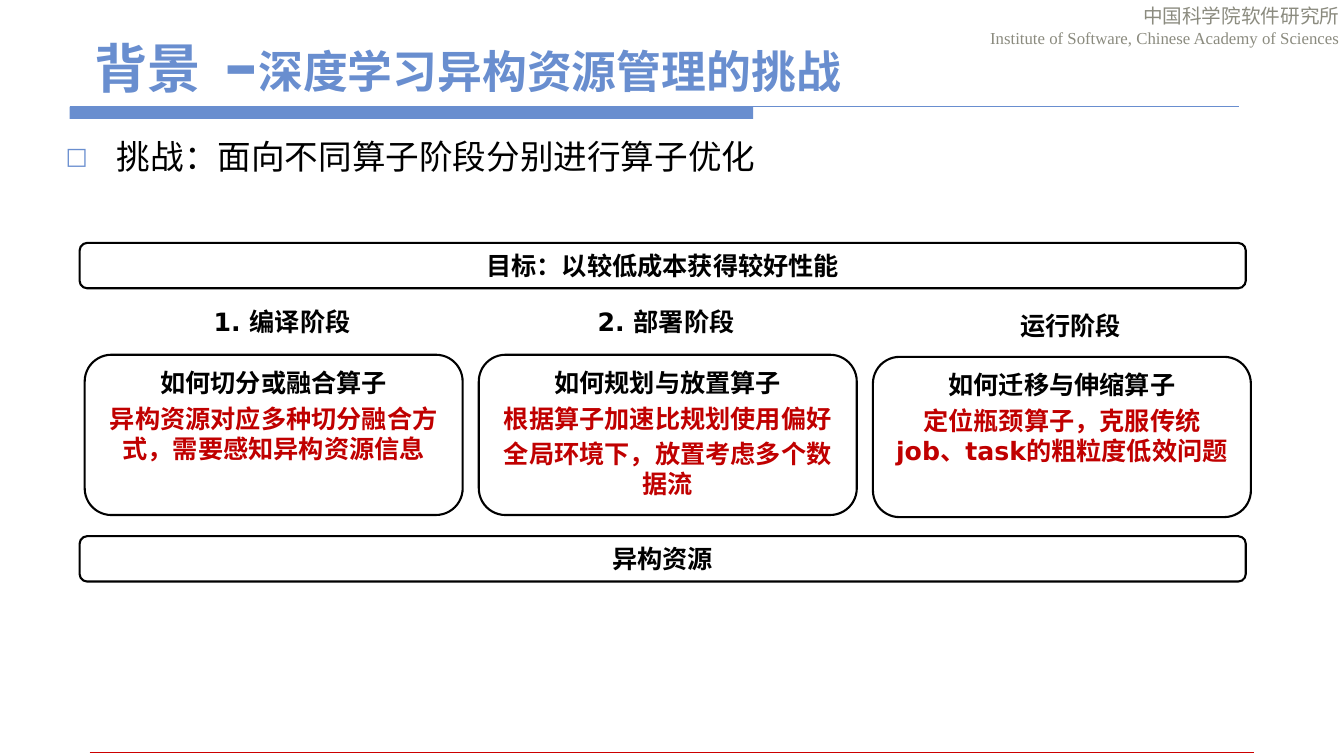
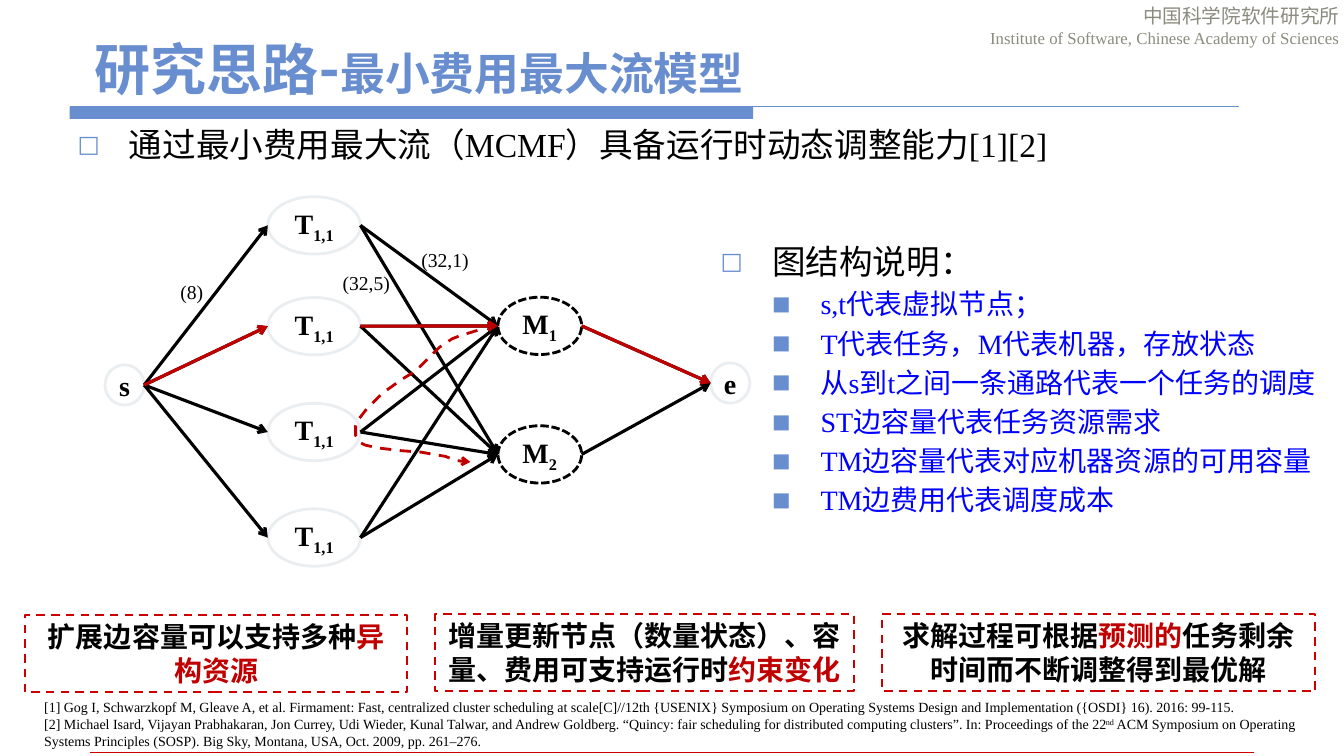
import dataclasses
import itertools
import typing

import lxml.etree
import pptx
import pptx.dml.color
import pptx.enum.dml
import pptx.enum.lang
import pptx.enum.shapes
import pptx.enum.text
import pptx.oxml.ns
import pptx.util

Pt = pptx.util.Pt
Align = pptx.enum.text.PP_ALIGN
Anchor = pptx.enum.text.MSO_ANCHOR
Dash = pptx.enum.dml.MSO_LINE
Preset = pptx.enum.shapes.MSO_SHAPE

BLUE, BLACK, WHITE = "698ECF", "000000", "FFFFFF"
RED, RULE_RED, LINK_BLUE = "C00000", "CC0000", "0000FF"
GREY, PALE = "8B8B7F", "EBEEF1"
SANS, SERIF, TITLE_FONT, HAN_FONT = "DejaVu Sans", "Times New Roman", "Roboto", "Noto Sans CJK SC"
EAST_ASIAN = SANS


class Area(typing.NamedTuple):
    left: float
    top: float
    width: float
    height: float


class Span(typing.NamedTuple):
    text: str
    style: dict = {}


class Bullet(typing.NamedTuple):
    symbol: str
    margin: float
    hanging: float


@dataclasses.dataclass(frozen=True)
class Node:
    letter: str
    subscript: str
    x: float
    y: float
    width: float
    height: float
    outline: str = PALE
    dash: typing.Any = None

    @property
    def entry(self) -> tuple[float, float]:
        return self.x - self.width / 2, self.y

    @property
    def departure(self) -> tuple[float, float]:
        return self.x + self.width / 2, self.y


OUTER = Bullet("□", 36.7, 36.7)
INNER = Bullet("■", 71.3, 34.6)
BOX_TEXT = dict(size=18, font=SANS, bold=True, align=Align.CENTER)
HIGHLIGHT = dict(color=RED)


def rgb(color: str) -> pptx.dml.color.RGBColor:
    return pptx.dml.color.RGBColor.from_string(color)


def points(values: typing.Iterable[float]) -> list[pptx.util.Length]:
    return [Pt(value) for value in values]


def child(parent, tag: str, **attributes: str):
    return lxml.etree.SubElement(parent, pptx.oxml.ns.qn(tag), attributes)


def add_span(para, text: str, *, size: float, font: str, color: str = BLACK,
             bold: bool = False, baseline: int = 0) -> None:
    span = para.add_run()
    span.text = text
    span.font.size = Pt(size)
    span.font.name = font
    span.font.bold = bold
    span.font.color.rgb = rgb(color)
    span.font.language_id = pptx.enum.lang.MSO_LANGUAGE_ID.SIMPLIFIED_CHINESE
    properties = span._r.get_or_add_rPr()
    child(properties, "a:ea", typeface=EAST_ASIAN)
    if baseline:
        properties.set("baseline", str(baseline * 1000))


def add_bullet(para, bullet: Bullet) -> None:
    properties = para._p.get_or_add_pPr()
    properties.set("marL", str(Pt(bullet.margin)))
    properties.set("indent", str(-Pt(bullet.hanging)))
    child(child(properties, "a:buClr"), "a:srgbClr", val=BLUE)
    child(properties, "a:buSzPct", val="70000")
    child(properties, "a:buFont", typeface=SANS)
    child(properties, "a:buChar", char=bullet.symbol)


def add_para(frame, spans: list[Span], *, align=Align.LEFT, before: float = 0,
             bullet: Bullet | None = None, **style) -> None:
    para = frame.paragraphs[0]
    if para.runs:
        para = frame.add_paragraph()
    para.alignment = align
    para.space_before = Pt(before)
    if bullet:
        para.level = 1 if bullet is INNER else 0
        add_bullet(para, bullet)
    for span in spans:
        add_span(para, span.text, **{**style, **span.style})


def prepare_frame(box, anchor=Anchor.TOP, wrap: bool = True):
    frame = box.text_frame
    frame.word_wrap = wrap
    frame.auto_size = pptx.enum.text.MSO_AUTO_SIZE.NONE
    frame.vertical_anchor = anchor
    return frame


def place(box, area: Area, anchor=Anchor.TOP):
    box.left, box.top, box.width, box.height = points(area)
    return prepare_frame(box, anchor)


def add_text(page, area: Area):
    box = page.shapes.add_textbox(*points(area))
    return box, prepare_frame(box)


def add_box(page, preset, area: Area, *, fill: str | None = None, outline: str | None = BLACK,
            width: float = 1.5, dash=None):
    box = page.shapes.add_shape(preset, *points(area))
    box.shadow.inherit = False
    if fill:
        box.fill.solid()
        box.fill.fore_color.rgb = rgb(fill)
    else:
        box.fill.background()
    if outline:
        format_line(box.line, outline, width, dash)
    else:
        box.line.fill.background()
    return box


def format_line(line, color: str, width: float, dash=None, arrow: bool = False) -> None:
    line.color.rgb = rgb(color)
    line.width = Pt(width)
    if dash:
        line.dash_style = dash
    if arrow:
        child(line._get_or_add_ln(), "a:tailEnd", type="arrow")


def add_line(page, start: tuple[float, float], end: tuple[float, float], color: str,
             width: float, arrow: bool = False):
    connector = page.shapes.add_connector(
        pptx.enum.shapes.MSO_CONNECTOR.STRAIGHT, *points(start + end))
    format_line(connector.line, color, width, arrow=arrow)
    child(connector.element.spPr, "a:effectLst")
    return connector


def furnish_master(deck, page) -> None:
    band = add_box(page, Preset.RECTANGLE, Area(49.7, 76.3, 488.2, 8.6), fill=BLUE, outline=None)
    top_rule = add_line(page, (49.7, 76.3), (885, 76.3), BLUE, 0.75)
    bottom_rule = add_line(page, (64, 537.2), (895.7, 537.2), RULE_RED, 0.25)
    institute, frame = add_text(page, Area(555.8, -0.7, 408.2, 38.9))
    for text, size, font in (
        ("中国科学院软件研究所", 14, HAN_FONT),
        ("Institute of Software, Chinese Academy of Sciences", 12, SERIF),
    ):
        add_para(frame, [Span(text)], size=size, font=font, color=GREY, align=Align.RIGHT)
    for shape in (band, top_rule, bottom_rule, institute):
        deck.slide_master.shapes.element.append(shape.element)


def add_heading(page, spans: list[Span], body_area: Area, statement: str, font: str) -> None:
    title = place(page.shapes.title, Area(60.5, 23.8, 840, 52.5), Anchor.BOTTOM)
    add_para(title, spans, size=32, font=TITLE_FONT, color=BLUE, bold=True)
    body = place(page.placeholders[1], body_area)
    add_para(body, [Span(statement)], size=24, font=font, bullet=OUTER)


def build_challenges(page) -> None:
    add_heading(
        page,
        [Span("背景", dict(size=38)), Span(" –", dict(size=48)), Span("深度学习异构资源管理的挑战")],
        Area(39.6, 93.6, 825, 39), "挑战：面向不同算子阶段分别进行算子优化", TITLE_FONT)
    for top, text in ((173.5, "目标：以较低成本获得较好性能"), (383, "异构资源")):
        bar = add_box(page, Preset.ROUNDED_RECTANGLE, Area(56.9, top, 833, 32.4))
        add_para(prepare_frame(bar), [Span(text)], **BOX_TEXT)

    stages = (
        ("1. 编译阶段", 83.5, 215.3, 253.4, "如何切分或融合算子",
         ["异构资源对应多种切分融合方式，需要感知异构资源信息"]),
        ("2. 部署阶段", 357.8, 215.3, 253.4, "如何规划与放置算子",
         ["根据算子加速比规划使用偏好", "全局环境下，放置考虑多个数据流"]),
        ("运行阶段", 646.6, 218.2, 254.9, "如何迁移与伸缩算子",
         ["定位瓶颈算子，克服传统job、task的粗粒度低效问题"]),
    )
    for index, (stage, left, label_top, card_top, question, answers) in enumerate(stages):
        card = add_box(page, Preset.ROUNDED_RECTANGLE,
                       Area(60.5 + 281.5 * index, card_top, 270, 114.5))
        frame = prepare_frame(card)
        add_para(frame, [Span(question)], **BOX_TEXT)
        for answer in answers:
            add_para(frame, [Span(answer)], before=3.6, color=RED, **BOX_TEXT)
        label = add_text(page, Area(left, label_top, 236, 28.8))[1]
        add_para(label, [Span(stage)], **BOX_TEXT)


def draw_node(page, node: Node) -> None:
    area = Area(node.x - node.width / 2, node.y - node.height / 2, node.width, node.height)
    ellipse = add_box(page, Preset.OVAL, area, fill=WHITE, outline=node.outline,
                      width=2, dash=node.dash)
    frame = prepare_frame(ellipse, Anchor.MIDDLE, wrap=False)
    frame.margin_left = frame.margin_right = frame.margin_top = frame.margin_bottom = 0
    spans = [Span(node.letter)]
    if node.subscript:
        spans.append(Span(node.subscript, dict(baseline=-25)))
    add_para(frame, spans, size=20, font=SERIF, bold=True, align=Align.CENTER)


def draw_flow_graph(page) -> None:
    source = Node("s", "", 89, 275, 28, 28.8)
    sink = Node("e", "", 521.6, 273.6, 28, 28.8)
    tasks = [Node("T", "1,1", 224.4, y, 66.2, 41) for y in (161, 233, 308.6, 384)]
    machines = [Node("M", str(number), 385.6, y, 59.8, 41, BLACK, Dash.SQUARE_DOT)
                for number, y in ((1, 232.8), (2, 324.6))]
    for node in (*tasks, *machines, source, sink):
        draw_node(page, node)

    edges = [*itertools.product([source], tasks), *itertools.product(tasks, machines),
             *itertools.product(machines, [sink])]
    chosen = itertools.pairwise((source, tasks[1], machines[0], sink))
    for color, pairs in ((BLACK, edges), (RED, chosen)):
        for start, end in pairs:
            add_line(page, start.departure, end.entry, color, 2.25, arrow=True)

    for left, top, text in ((293.8, 173.5, "(32,1)"), (237.6, 190, "(32,5)"), (121.7, 196.6, "(8)")):
        label = add_text(page, Area(left, top, 51, 25))[1]
        add_para(label, [Span(text)], size=14, font=SERIF)

    bend = [(340.6, 236.2), (327.6, 240.5), (323.3, 241.9), (313.9, 248.4), (308, 254),
            (296.6, 265), (287.3, 271.4), (272.9, 280.8), (262, 291.6), (255, 301),
            (254.2, 304), (254.2, 311), (257, 316), (261.4, 318.2), (270, 320.4),
            (287.3, 321.8), (301, 323.3), (312.5, 325.4), (318.2, 326.2), (326.2, 329),
            (335.5, 329.8)]
    builder = page.shapes.build_freeform(*bend[0], scale=Pt(1))
    builder.add_line_segments(bend[1:], close=False)
    detour = builder.convert_to_shape()
    detour.shadow.inherit = False
    detour.fill.background()
    format_line(detour.line, RED, 2, Dash.DASH, arrow=True)


def build_flow_model(page) -> None:
    add_heading(
        page, [Span("研究思路-", dict(size=40)), Span("最小费用最大流模型")],
        Area(48.2, 85, 825, 43.2), "通过最小费用最大流（MCMF）具备运行时动态调整能力[1][2]", SERIF)
    draw_flow_graph(page)

    legend = place(page.placeholders[2], Area(507.6, 168.5, 441.4, 217.4))
    add_para(legend, [Span("图结构说明：")], size=24, font=TITLE_FONT, bullet=OUTER)
    for text in ("s,t代表虚拟节点；", "T代表任务，M代表机器，存放状态",
                 "从s到t之间一条通路代表一个任务的调度", "ST边容量代表任务资源需求",
                 "TM边容量代表对应机器资源的可用容量", "TM边费用代表调度成本"):
        add_para(legend, [Span(text)], size=20, font=SERIF, color=LINK_BLUE,
                 before=4, bullet=INNER)

    findings = (
        (Area(18, 439.2, 272.9, 55.4),
         [Span("扩展边容量可以支持多种"), Span("异构资源", HIGHLIGHT)]),
        (Area(311, 438.5, 298.8, 55.4),
         [Span("增量更新节点（数量状态）、容量、费用可支持运行时"), Span("约束变化", HIGHLIGHT)]),
        (Area(630, 438.5, 309.6, 55.4),
         [Span("求解过程可根据"), Span("预测的", HIGHLIGHT), Span("任务剩余时间而不断调整得到最优解")]),
    )
    for area, spans in findings:
        box = add_box(page, Preset.RECTANGLE, area, outline=RULE_RED, dash=Dash.DASH)
        add_para(prepare_frame(box), spans, **{**BOX_TEXT, "size": 20})

    references = add_text(page, Area(24.5, 495.4, 911.5, 43.9))[1]
    for spans in (
        [Span("[1] Gog I, Schwarzkopf M, Gleave A, et al. Firmament: Fast, centralized cluster "
              "scheduling at scale[C]//12th {USENIX} Symposium on Operating Systems Design and "
              "Implementation ({OSDI} 16). 2016: 99-115.")],
        [Span("[2] Michael Isard, Vijayan Prabhakaran, Jon Currey, Udi Wieder, Kunal Talwar, and "
              "Andrew Goldberg. “Quincy: fair scheduling for distributed computing clusters”. "
              "In: Proceedings of the 22"),
         Span("nd", dict(baseline=30)),
         Span(" ACM Symposium on Operating Systems Principles (SOSP). Big Sky, Montana, USA, "
              "Oct. 2009, pp. 261–276.")],
    ):
        add_para(references, spans, size=10, font=SERIF)


def main() -> None:
    deck = pptx.Presentation()
    deck.slide_width, deck.slide_height = Pt(960), Pt(540)
    challenges = deck.slides.add_slide(deck.slide_layouts[1])
    flow_model = deck.slides.add_slide(deck.slide_layouts[3])
    furnish_master(deck, challenges)
    build_challenges(challenges)
    build_flow_model(flow_model)
    deck.save("out.pptx")


if __name__ == "__main__":
    main()
